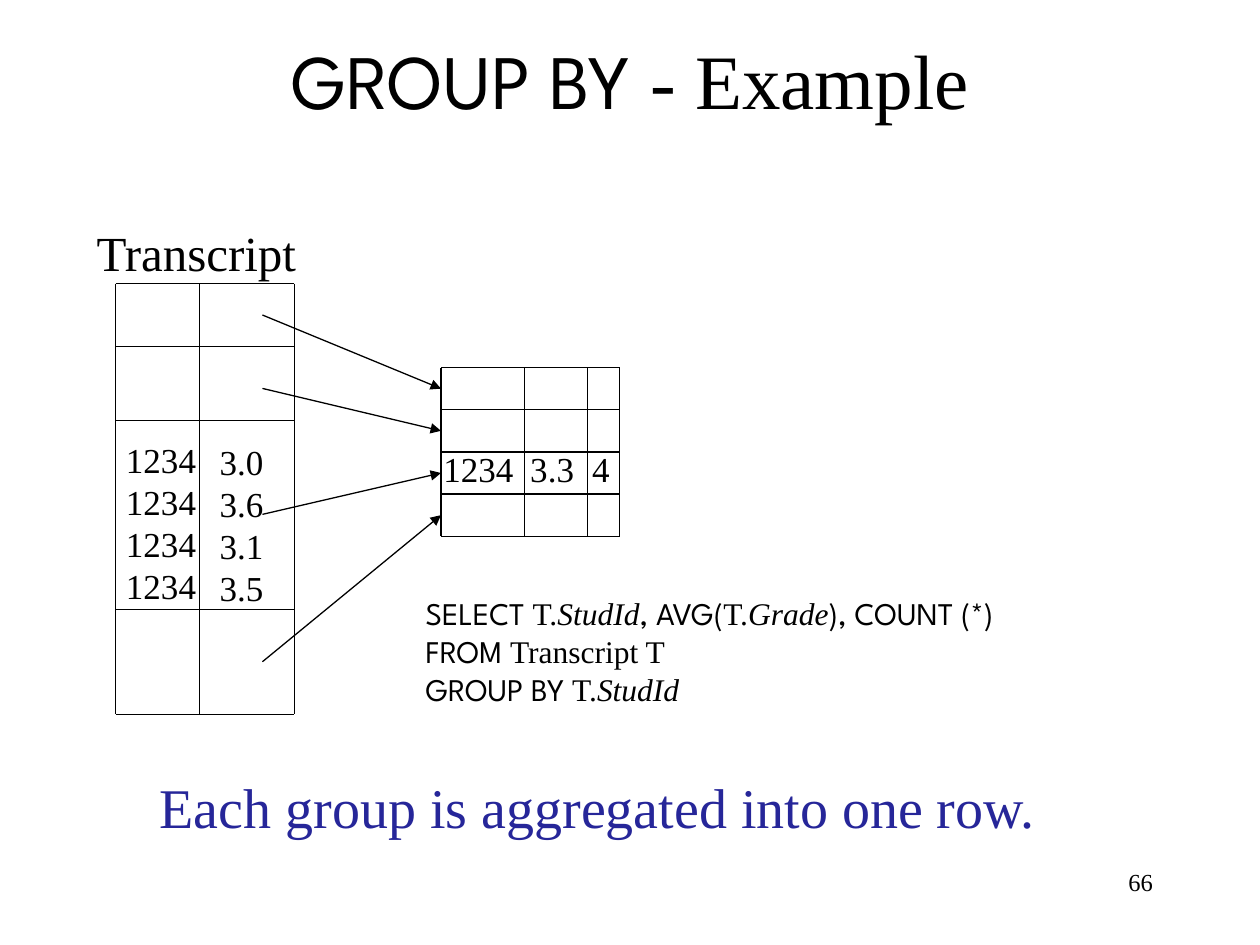
from lxml import etree
from pptx import Presentation
from pptx import util as u
from pptx.dml.color import RGBColor
from pptx.enum import shapes, text
from pptx.oxml.ns import qn

COLORS = {"ink": "000000", "accent": "262699"}
SERIF, SANS = "Times New Roman", "League Spartan"
SQL = {"name": SANS}
PLAIN = {"name": SERIF}
COLUMN = {"name": SERIF, "italic": True}

TRANSCRIPT_X = [2.33, 4.02, 5.93]
TRANSCRIPT_Y = [5.72, 6.99, 8.47, 12.28, 14.4]
ROW_HEIGHT = 0.85
RESULT_X = [8.89, 10.58, 11.85, 12.49]
RESULT_Y = [7.41 + ROW_HEIGHT * row for row in range(5)]
ARROW_X = 5.29
ARROW_Y = [6.35, 7.83, 10.37, 13.34]

QUERY = [
    [("SELECT ", SQL), ("T.", PLAIN), ("StudId", COLUMN), (", AVG(", SQL),
     ("T.", PLAIN), ("Grade", COLUMN), ("), COUNT (*)", SQL)],
    [("FROM ", SQL), ("Transcript T", PLAIN)],
    [("GROUP BY ", SQL), ("T.", PLAIN), ("StudId", COLUMN)],
]


def plain_lines(*lines):
    return [[(line, PLAIN)] for line in lines]


def write(frame, lines, size, color="ink", align=text.PP_ALIGN.LEFT, tabs=()):
    """Fill a frame with lines, each a list of (words, font format) spans."""
    for index, line in enumerate(lines):
        para = frame.add_paragraph() if index else frame.paragraphs[0]
        para.alignment = align
        if tabs:
            tab_list = etree.SubElement(para._p.get_or_add_pPr(), qn("a:tabLst"))
            for stop in tabs:
                etree.SubElement(tab_list, qn("a:tab"), pos=str(u.Cm(stop)), algn="l")
        for words, style in line:
            span = para.add_run()
            span.text = words
            for key, value in {"size": u.Pt(size), **style}.items():
                setattr(span.font, key, value)
            span.font.color.rgb = RGBColor.from_string(COLORS[color])


def add_text(page, bounds, lines, size, wrap=True, **options):
    box = page.shapes.add_textbox(*map(u.Cm, bounds))
    box.text_frame.word_wrap = wrap
    write(box.text_frame, lines, size, **options)


def add_line(page, start, end, arrow=False):
    line = page.shapes.add_connector(
        shapes.MSO_CONNECTOR.STRAIGHT, *map(u.Cm, (*start, *end)))
    line.line.color.rgb = RGBColor.from_string(COLORS["ink"])
    line.line.width = u.Pt(0.75)
    if arrow:
        etree.SubElement(line.line._get_or_add_ln(), qn("a:tailEnd"), type="triangle")
    etree.SubElement(line._element.spPr, qn("a:effectLst"))


def add_grid(page, xs, ys):
    for x in xs:
        add_line(page, (x, ys[0]), (x, ys[-1]))
    for y in ys:
        add_line(page, (xs[0], y), (xs[-1], y))


def add_title(page):
    title = page.shapes.title
    bounds = {"left": 1.91, "top": 0, "width": 21.59, "height": 3.18}
    for key, value in bounds.items():
        setattr(title, key, u.Cm(value))
    title.text_frame.auto_size = text.MSO_AUTO_SIZE.NONE
    title.text_frame.vertical_anchor = text.MSO_ANCHOR.MIDDLE
    write(title.text_frame, [[("GROUP BY", SQL), (" - Example", PLAIN)]], 44,
          align=text.PP_ALIGN.CENTER)


def main():
    deck = Presentation()
    deck.slide_width, deck.slide_height = u.Cm(25.4), u.Cm(19.05)
    page = deck.slides.add_slide(deck.slide_layouts[5])
    add_title(page)

    add_grid(page, TRANSCRIPT_X, TRANSCRIPT_Y)
    add_grid(page, RESULT_X, RESULT_Y)
    for start_y, row_top in zip(ARROW_Y, RESULT_Y):
        add_line(page, (ARROW_X, start_y),
                 (RESULT_X[0], row_top + ROW_HEIGHT / 2), arrow=True)

    add_text(page, (8.33, 11.85, 14.94, 2.54), QUERY, 18)
    add_text(page, (1.7, 4.37, 4.57, 1.45), plain_lines("Transcript"), 28, wrap=False)
    add_text(page, (8.69, 8.89, 3.86, 1.1), plain_lines("1234\t3.3\t4"), 20,
             tabs=(1.75, 3))
    add_text(page, (2.29, 8.71, 1.93, 3.63), plain_lines(*["1234"] * 4), 20, wrap=False)
    add_text(page, (4.18, 8.76, 1.41, 3.63),
             plain_lines("3.0", "3.6", "3.1", "3.5"), 20, wrap=False)
    add_text(page, (2.97, 15.44, 19.25, 1.63),
             plain_lines("Each group is aggregated into one row."), 32, color="accent")
    add_text(page, (18.21, 17.35, 5.28, 1.27), plain_lines("66"), 14,
             align=text.PP_ALIGN.RIGHT)

    deck.save("out.pptx")


if __name__ == "__main__":
    main()
